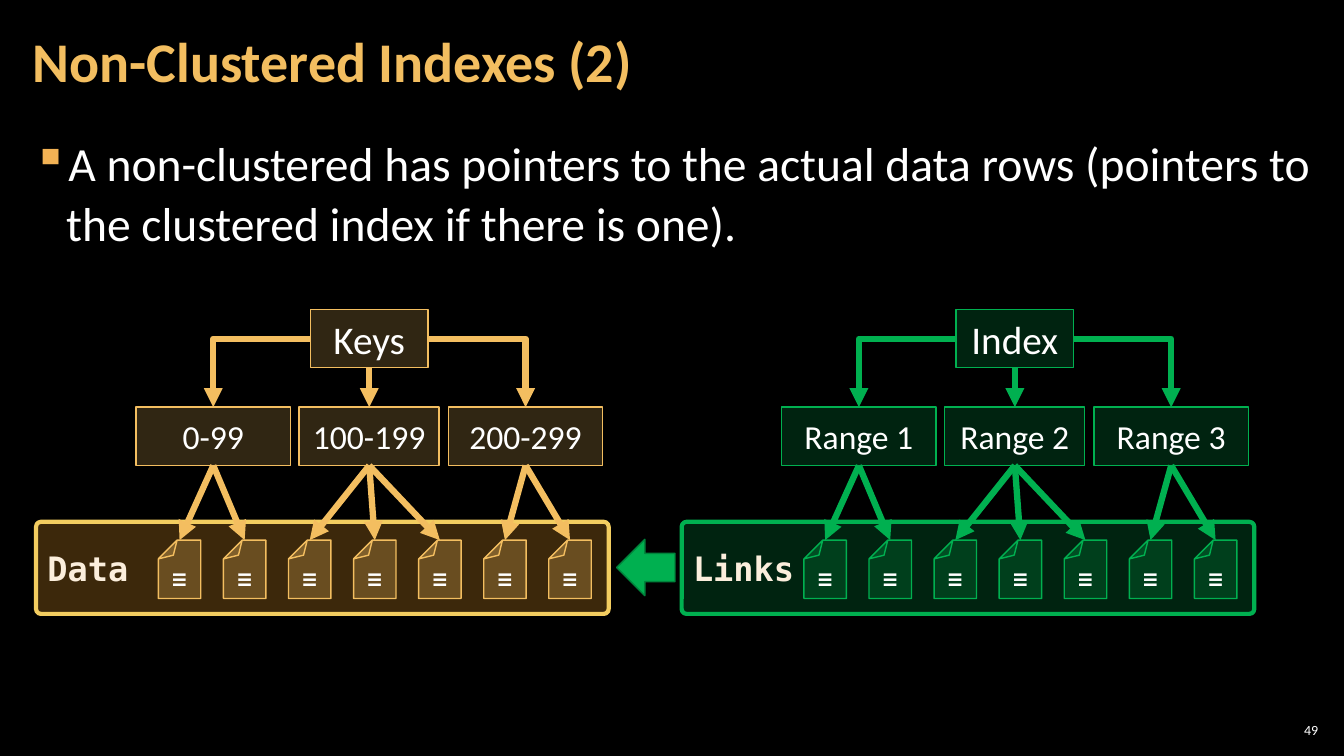
from lxml import etree
from pptx import Presentation
from pptx import util as u
from pptx.dml.color import RGBColor
from pptx.enum import shapes, text
from pptx.oxml import ns

BLACK = RGBColor(0x00, 0x00, 0x00)
WHITE = RGBColor(0xFF, 0xFF, 0xFF)
CREAM = RGBColor(0xFB, 0xEE, 0xDC)
AMBER = RGBColor(0xF3, 0xBE, 0x60)
ORANGE = RGBColor(0xF0, 0xA2, 0x2E)
BULLET = RGBColor(0xF2, 0xB2, 0x54)
YELLOW = RGBColor(0xF3, 0xCD, 0x60)
GREEN = RGBColor(0x00, 0xB0, 0x50)
DARK_GREEN = RGBColor(0x00, 0x84, 0x3C)
SANS = "Calibri"
MONO = "DejaVu Sans Mono"
KIND = shapes.MSO_SHAPE
ALIGN = text.PP_ALIGN
MIDDLE = text.MSO_ANCHOR.MIDDLE

RANGE_SLOTS = [(3.43, 3.89), (7.54, 3.53), (11.3, 3.89)]
FILES_PER_RANGE = [2, 3, 2]
RANGE_TOP, BOX_HEIGHT = 10.26, 1.47
FILE_TOP, FILE_WIDTH, FILE_PITCH = 13.61, 1.07, 1.64
MARK_WIDTH = 1.7


def add_xml(parent, tag, **attributes):
    return etree.SubElement(parent, ns.qn(tag), attributes)


def write(shape, words, size=24, font=SANS, color=WHITE, bold=False,
          align=ALIGN.CENTER, anchor=MIDDLE, inset=None):
    frame = shape.text_frame
    frame.word_wrap = True
    frame.vertical_anchor = anchor
    if inset is not None:
        frame.margin_left = frame.margin_right = u.Cm(inset)
        frame.margin_top = frame.margin_bottom = u.Cm(0.1)
    para = frame.paragraphs[0]
    para.alignment = align
    span = para.add_run()
    span.text = words
    span.font.size = u.Pt(size)
    span.font.name = font
    span.font.bold = bold
    span.font.color.rgb = color
    return para


def add_text(page, place, words, **style):
    box = page.shapes.add_textbox(*map(u.Cm, place))
    return box, write(box, words, **style)


def add_box(page, kind, place, fill, line, weight=1, opacity=100):
    box = page.shapes.add_shape(kind, *map(u.Cm, place))
    box.shadow.inherit = False
    box.fill.solid()
    box.fill.fore_color.rgb = fill
    if opacity < 100:
        color = box._element.spPr.find(".//" + ns.qn("a:srgbClr"))
        add_xml(color, "a:alpha", val=str(opacity * 1000))
    box.line.color.rgb = line
    box.line.width = u.Pt(weight)
    return box


def add_arrow(page, color, start, side, target):
    bent = side != 2
    kind = shapes.MSO_CONNECTOR.ELBOW if bent else shapes.MSO_CONNECTOR.STRAIGHT
    arrow = page.shapes.add_connector(
        kind, start.left, start.top,
        target.left + target.width // 2, target.top)
    arrow.begin_connect(start, side)
    if not target.rotation:
        arrow.end_connect(target, 0)
    arrow.line.color.rgb = color
    arrow.line.width = u.Pt(4.5)
    properties = arrow._element.spPr
    if bent:
        properties.find(ns.qn("a:prstGeom")).set("prst", "bentConnector2")
    add_xml(properties.find(ns.qn("a:ln")), "a:tailEnd", type="triangle")
    add_xml(properties, "a:effectLst")


def add_file(page, left, color, opacity):
    sheet = add_box(page, KIND.FOLDED_CORNER,
                    (left, FILE_TOP, FILE_WIDTH, BOX_HEIGHT),
                    color, color, opacity=opacity)
    sheet.rotation = 180
    geometry = sheet._element.spPr.find(ns.qn("a:prstGeom"))
    guides = geometry.find(ns.qn("a:avLst"))
    if guides is None:
        guides = add_xml(geometry, "a:avLst")
    add_xml(guides, "a:gd", name="adj", fmla="val 44200")
    mark_left = left + (FILE_WIDTH - MARK_WIDTH) / 2
    mark, _ = add_text(page, (mark_left, 14.02, MARK_WIDTH, 1.02), "☰",
                       size=18, font=MONO, bold=True,
                       anchor=text.MSO_ANCHOR.TOP)
    mark.text_frame.auto_size = text.MSO_AUTO_SIZE.SHAPE_TO_FIT_TEXT
    return sheet


def add_tree(page, shift, root_name, range_names, store_name,
             color, store_fill, store_line, opacity):
    root = add_box(page, KIND.RECTANGLE, (7.82 + shift, 7.8, 2.97, BOX_HEIGHT),
                   color, color, opacity=20)
    write(root, root_name, size=28)

    store = add_box(page, KIND.ROUNDED_RECTANGLE,
                    (0.91 + shift, 13.15, 14.43, 2.32),
                    store_fill, store_line, weight=3, opacity=opacity)
    store.adjustments[0] = 0.053
    write(store, store_name, font=MONO, color=CREAM, bold=True,
          align=ALIGN.LEFT)
    files = iter([add_file(page, 3.99 + shift + FILE_PITCH * place,
                           color, opacity)
                  for place in range(sum(FILES_PER_RANGE))])

    ranges = []
    for name, (left, width) in zip(range_names, RANGE_SLOTS):
        box = add_box(page, KIND.RECTANGLE,
                      (left + shift, RANGE_TOP, width, BOX_HEIGHT),
                      color, color, opacity=20)
        write(box, name)
        ranges.append(box)

    for box, side in zip(ranges, (1, 2, 3)):
        add_arrow(page, color, root, side, box)
    for box, count in zip(ranges, FILES_PER_RANGE):
        for _ in range(count):
            add_arrow(page, color, box, 2, next(files))


def add_statement(page, words):
    _, para = add_text(page, (0.53, 3.2, 32.8, 15.48), words, size=34,
                       align=ALIGN.LEFT, anchor=text.MSO_ANCHOR.TOP, inset=0.3)
    para.line_spacing = 1.05
    para.space_before = para.space_after = u.Pt(6)
    properties = para._p.get_or_add_pPr()
    indent = u.Cm(0.84)
    properties.set("marL", str(indent))
    properties.set("indent", str(-indent))
    color = add_xml(properties, "a:buClr")
    add_xml(color, "a:srgbClr", val=str(BULLET))
    add_xml(properties, "a:buChar", char="▪")


def main():
    deck = Presentation()
    deck.slide_width, deck.slide_height = u.Cm(33.87), u.Cm(19.05)
    page = deck.slides.add_slide(deck.slide_layouts[6])
    page.background.fill.solid()
    page.background.fill.fore_color.rgb = BLACK

    add_statement(page, "A non-clustered has pointers to the actual data rows "
                        "(pointers to the clustered index if there is one).")
    _, title = add_text(page, (0.53, 0.1, 26.6, 3.07),
                        "Non-Clustered Indexes (2)", size=40, color=AMBER,
                        bold=True, align=ALIGN.LEFT, inset=0.3)
    title.line_spacing = 0.9

    add_tree(page, 0, "Keys", ["0-99", "100-199", "200-299"], "Data",
             AMBER, ORANGE, YELLOW, 25)
    add_tree(page, 16.27, "Index", ["Range 1", "Range 2", "Range 3"], "Links",
             GREEN, GREEN, GREEN, 20)
    link = add_box(page, KIND.RIGHT_ARROW, (15.54, 13.59, 1.47, 1.42),
                   GREEN, DARK_GREEN)
    link.rotation = 180
    add_text(page, (32.13, 18.14, 1.19, 0.53), "49", size=10,
             align=ALIGN.RIGHT, inset=0.1)
    deck.save("out.pptx")


if __name__ == "__main__":
    main()
